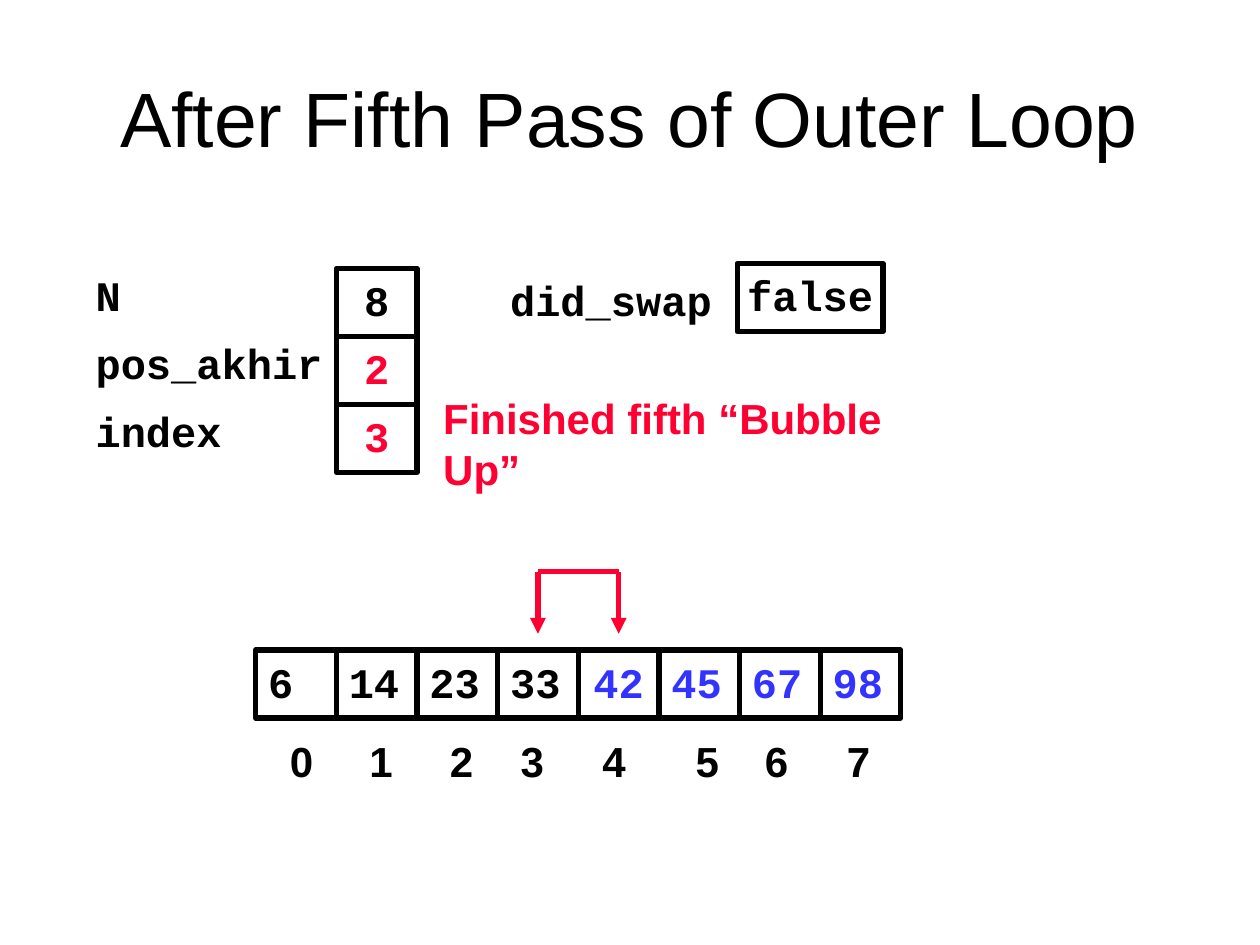
from dataclasses import dataclass

from lxml import etree
from pptx import Presentation, util as u
from pptx.dml.color import RGBColor
from pptx.enum import shapes, text
from pptx.oxml import ns


@dataclass(frozen=True)
class Theme:
    """Hold the colours, fonts and sizes."""
    ink: str = "000000"
    red: str = "FF0033"
    blue: str = "3333FF"
    sans: str = "Arial"
    mono: str = "Courier New"
    head: int = 44
    body: int = 24
    rule: int = 3


def write(frame, words, font, size, color, bold=True, mid=False, wrap=False, tabs=()):
    """Put formatted text into a text frame."""
    frame.word_wrap = wrap
    para = frame.paragraphs[0]
    para.alignment = text.PP_ALIGN.CENTER if mid else text.PP_ALIGN.LEFT
    if tabs:
        stops = etree.SubElement(para._p.get_or_add_pPr(), ns.qn("a:tabLst"))
        for stop in tabs:
            etree.SubElement(stops, ns.qn("a:tab"), pos=str(u.Inches(stop)), algn="l")
    run = para.add_run()
    run.text = words
    run.font.name, run.font.size, run.font.bold = font, u.Pt(size), bold
    run.font.color.rgb = RGBColor.from_string(color)


class Board:
    """Draw on one slide by columns and rows of array cells."""
    left, top, wide, high = 2.03, 2.13, 0.64, 0.54

    def __init__(self, deck, theme):
        """Start a slide with a title."""
        self.theme = theme
        self.slide = deck.slides.add_slide(deck.slide_layouts[5])

    def spot(self, col, row):
        """Turn a grid place into a slide place."""
        return u.Inches(self.left + col * self.wide), u.Inches(self.top + row * self.high)

    def span(self, cols, rows):
        """Turn a grid size into a slide size."""
        return u.Inches(cols * self.wide), u.Inches(rows * self.high)

    def title(self, words):
        """Place and fill the title."""
        box = self.slide.shapes.title
        box.left, box.top, box.width, box.height = map(u.Inches, (0.5, 0.3, 9, 1.25))
        box.text_frame.vertical_anchor = text.MSO_ANCHOR.MIDDLE
        write(box.text_frame, words, self.theme.sans, self.theme.head, self.theme.ink,
              bold=False, mid=True, wrap=True)

    def cell(self, words, col, row, color=None, cols=1, mid=True):
        """Draw a framed value."""
        box = self.slide.shapes.add_shape(
            shapes.MSO_SHAPE.RECTANGLE, *self.spot(col, row), *self.span(cols, 1))
        box.shadow.inherit = False
        box.fill.background()
        box.line.width = u.Pt(self.theme.rule)
        box.line.color.rgb = RGBColor.from_string(self.theme.ink)
        box.text_frame.vertical_anchor = text.MSO_ANCHOR.TOP
        write(box.text_frame, words, self.theme.mono, self.theme.body,
              color or self.theme.ink, mid=mid)

    def label(self, words, col, row, cols, font=None, color=None, **style):
        """Add plain text."""
        box = self.slide.shapes.add_textbox(*self.spot(col, row), *self.span(cols, 0.93))
        write(box.text_frame, words, font or self.theme.mono, self.theme.body,
              color or self.theme.ink, **style)

    def bridge(self, start, end, low, high):
        """Join two columns with a bracket of arrows."""
        group = self.slide.shapes.add_group_shape()
        edges = [((start, low), (start, high), True), ((end, low), (end, high), True),
                 ((start, high), (end, high), False)]
        for first, last, tip in edges:
            wire = group.shapes.add_connector(
                shapes.MSO_CONNECTOR.STRAIGHT, *self.spot(*first), *self.spot(*last))
            wire.line.width = u.Pt(self.theme.rule)
            wire.line.color.rgb = RGBColor.from_string(self.theme.red)
            if tip:
                etree.SubElement(wire.line._get_or_add_ln(), ns.qn("a:headEnd"), type="triangle")
            etree.SubElement(wire._element.spPr, ns.qn("a:effectLst"))


def main():
    """Build the slide."""
    deck = Presentation()
    deck.slide_width, deck.slide_height = u.Inches(10), u.Inches(7.5)
    theme = Theme()
    board = Board(deck, theme)
    board.title("After Fifth Pass of Outer Loop")

    for col, value in enumerate((6, 14, 23, 33, 42, 45, 67, 98)):
        board.cell(str(value), col, 5.61, theme.blue if col > 3 else theme.ink, mid=col == 4)
    board.label("\t".join(map(str, range(8))), 0.27, 6.78, 7.62, theme.sans, wrap=True,
                tabs=(0.63, 1.27, 1.83, 2.48, 3.22, 3.77, 4.42))

    states = [("N", "8", theme.ink, 1.88), ("pos_akhir", "2", theme.red, 3.12),
              ("index", "3", theme.red, 1.88)]
    for row, (name, value, color, cols) in enumerate(states):
        board.label(name, -2.14, row - 0.07, cols)
        board.cell(value, 1, row, color)

    board.label("did_swap", 3, 0, 4.06)
    board.cell("false", 5.97, -0.07, cols=1.81)
    board.label("Finished fifth “Bubble Up”", 2.17, 1.74, 6.84, theme.sans, theme.red)
    board.bridge(3.5, 4.5, 5.37, 4.46)
    deck.save("out.pptx")


if __name__ == "__main__":
    main()
